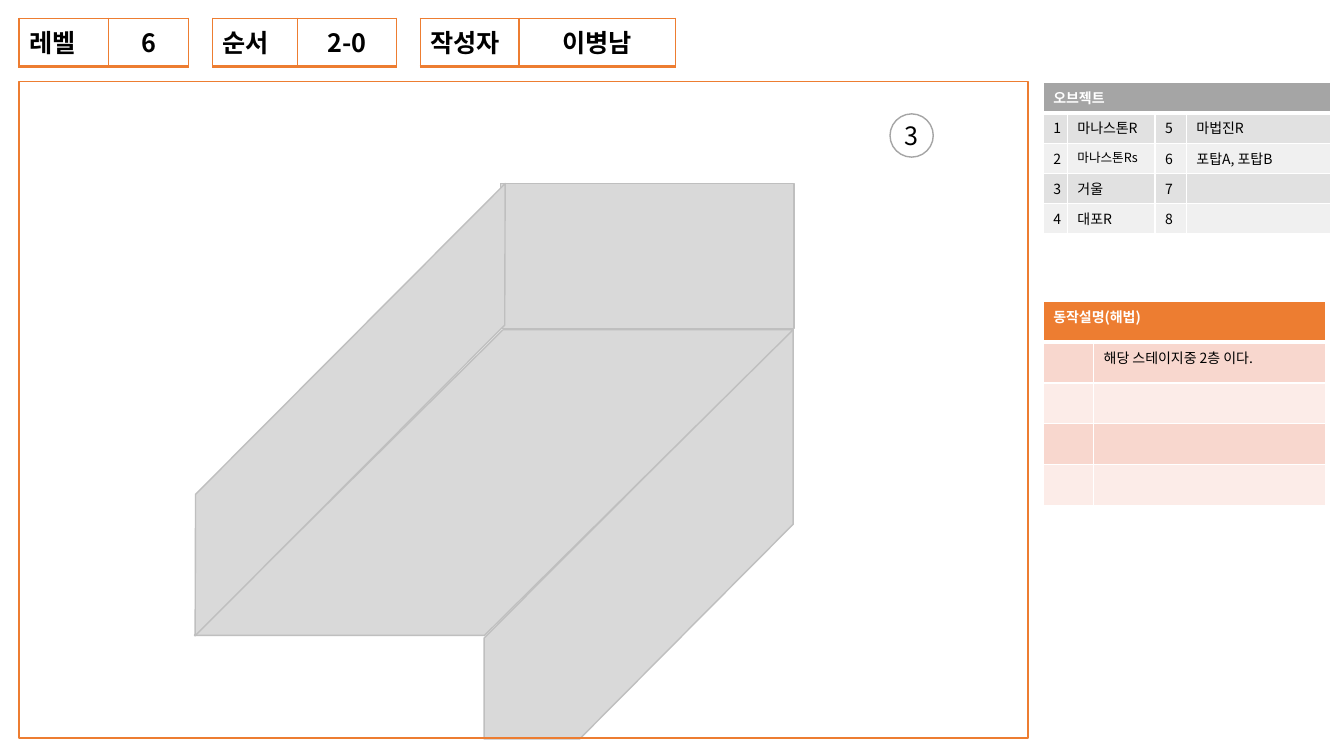
from lxml import etree
from pptx import Presentation
from pptx.dml.color import RGBColor
from pptx.enum.shapes import MSO_SHAPE
from pptx.enum.text import MSO_ANCHOR, PP_ALIGN
from pptx.oxml.ns import qn
from pptx.util import Cm, Pt

RECT, OVAL = MSO_SHAPE.RECTANGLE, MSO_SHAPE.OVAL
SLANT = MSO_SHAPE.PARALLELOGRAM
LEFT, CENTER, MIDDLE = PP_ALIGN.LEFT, PP_ALIGN.CENTER, MSO_ANCHOR.MIDDLE
FONT = "Noto Sans CJK KR"
COLORS = {
    "black": "000000", "white": "FFFFFF", "orange": "ED7D31", "gray": "A5A5A5",
    "wall": "D9D9D9", "edge": "BFBFBF", "gray1": "E1E1E1", "gray2": "F0F0F0",
    "peach1": "F8D7CE", "peach2": "FCECE8",
}


def rgb(name):
    """Return the named colour."""
    return RGBColor.from_string(COLORS[name])


def add_text(tf, text, size, color="black", bold=False, align=LEFT):
    """Write one run, or only size the paragraph when there is no text."""
    p = tf.paragraphs[0]
    p.alignment = align
    if not text:
        etree.SubElement(p._p, qn("a:endParaRPr"), sz=str(size * 100))
        return
    r = p.add_run()
    r.text = text
    r.font.name, r.font.size, r.font.bold = FONT, Pt(size), bold
    r.font.color.rgb = rgb(color)
    etree.SubElement(r._r.get_or_add_rPr(), qn("a:ea"), typeface=FONT)


def paint(sp, fill, line):
    """Give a shape its fill and a thin outline without shadow."""
    sp.shadow.inherit = False
    if fill:
        sp.fill.solid()
        sp.fill.fore_color.rgb = rgb(fill)
    else:
        sp.fill.background()
    sp.line.color.rgb = rgb(line)
    sp.line.width = Pt(1)


def add_preset(s, kind, box, fill, line, rotation=0):
    """Add a preset shape in a box given in centimetres."""
    sp = s.shapes.add_shape(kind, *map(Cm, box))
    if kind == SLANT:
        sp.adjustments[0] = 1.01
    sp.rotation = rotation
    paint(sp, fill, line)
    return sp


def add_outline(s, points, fill, line):
    """Add a closed polygon through points in centimetres."""
    points = [(Cm(x), Cm(y)) for x, y in points]
    builder = s.shapes.build_freeform(*points[0])
    builder.add_line_segments(points[1:], close=True)
    paint(builder.convert_to_shape(), fill, line)


def set_borders(cell, color, bottom):
    """Draw the four cell borders, the bottom one with its own width."""
    tcPr = cell._tc.get_or_add_tcPr()
    for i, side in enumerate(("lnL", "lnR", "lnT", "lnB")):
        width = bottom if side == "lnB" else 1
        ln = etree.Element(qn(f"a:{side}"), w=str(Pt(width)))
        fill = etree.SubElement(ln, qn("a:solidFill"))
        etree.SubElement(fill, qn("a:srgbClr"), val=COLORS[color])
        tcPr.insert(i, ln)


def add_grid(s, left, top, widths, height, rows):
    """Add an unstyled table with fixed column widths and equal rows."""
    table = s.shapes.add_table(rows, len(widths), Cm(left), Cm(top),
                               Cm(sum(widths)), Cm(height * rows)).table
    table.first_row = table.horz_banding = False
    for column, width in zip(table.columns, widths):
        column.width = Cm(width)
    return table


def add_label(s, left, widths, name, value):
    """Add an outlined name and value pair at the top."""
    table = add_grid(s, left, 0.46, widths, 1.22, 1)
    for cell, text, align in zip(table.iter_cells(), (name, value), (LEFT, CENTER)):
        cell.fill.background()
        add_text(cell.text_frame, text, 18, bold=True, align=align)
        set_borders(cell, "orange", 2)


def add_list(s, top, widths, height, title, accent, bands, rows, sizes):
    """Add a banded table under a merged title row."""
    table = add_grid(s, 26.29, top, widths, height, len(rows) + 1)
    table.cell(0, 0).merge(table.cell(0, len(widths) - 1))
    add_text(table.cell(0, 0).text_frame, title, 10, "white", True)
    for c in range(len(widths)):
        cell = table.cell(0, c)
        cell.fill.solid()
        cell.fill.fore_color.rgb = rgb(accent)
        set_borders(cell, "white", 3)
    for i, row in enumerate(rows):
        for c, text in enumerate(row):
            cell = table.cell(i + 1, c)
            cell.fill.solid()
            cell.fill.fore_color.rgb = rgb(bands[i % 2])
            add_text(cell.text_frame, text, sizes.get(text, 10))
            set_borders(cell, "white", 1)


def add_room(s):
    """Draw the floor, the three walls and the frame of the stage."""
    add_outline(s, [(12.2, 16.08), (19.99, 8.27), (19.99, 13.21),
                    (14.61, 18.62), (12.2, 18.62)], "wall", "edge")
    add_preset(s, RECT, (12.62, 4.62, 7.39, 3.66), "wall", "edge")
    add_preset(s, SLANT, (4.9, 8.31, 15.09, 7.7), "wall", "edge")
    add_preset(s, RECT, (0.48, 2.06, 25.43, 16.54), None, "orange")
    add_preset(s, SLANT, (2.03, 9.07, 13.59, 2.51), "wall", "edge", 314.9)


def add_badge(s, text):
    """Add the numbered circle."""
    sp = add_preset(s, OVAL, (22.43, 2.87, 1.09, 1.09), "white", "gray")
    tf = sp.text_frame
    tf.margin_left = tf.margin_right = tf.margin_top = tf.margin_bottom = 0
    tf.vertical_anchor = MIDDLE
    add_text(tf, text, 18, align=CENTER)


def main():
    """Build the stage slide and save it."""
    prs = Presentation()
    prs.slide_width, prs.slide_height = Cm(33.87), Cm(19.05)
    s = prs.slides.add_slide(prs.slide_layouts[6])
    add_room(s)
    add_badge(s, "3")
    add_label(s, 0.48, (2.26, 2.01), "레벨", "6")
    add_label(s, 5.36, (2.13, 2.51), "순서", "2-0")
    add_label(s, 10.59, (2.49, 3.94), "작성자", "이병남")
    objects = ["마나스톤R", "마나스톤Rs", "거울", "대포R",
               "마법진R", "포탑A, 포탑B", "", ""]
    rows = [(str(i + 1), objects[i], str(i + 5), objects[i + 4]) for i in range(4)]
    add_list(s, 2.08, (0.58, 2.21, 0.79, 3.63), 0.64, "오브젝트", "gray",
             ("gray1", "gray2"), rows, {"마나스톤Rs": 9})
    steps = [("", "해당 스테이지중 2층 이다.")] + [("", "")] * 3
    add_list(s, 7.59, (1.27, 5.84), 1.03, "동작설명(해법)", "orange",
             ("peach1", "peach2"), steps, {})
    prs.save("out.pptx")


main()
